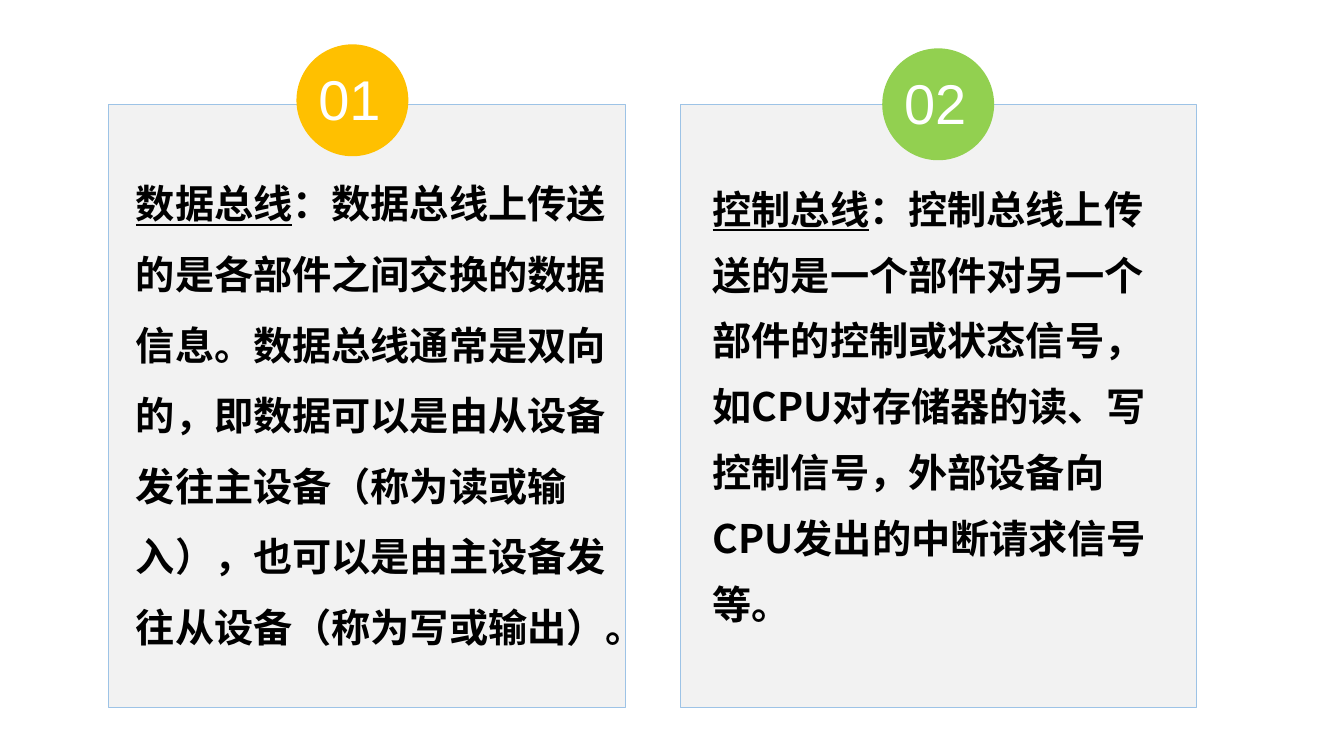
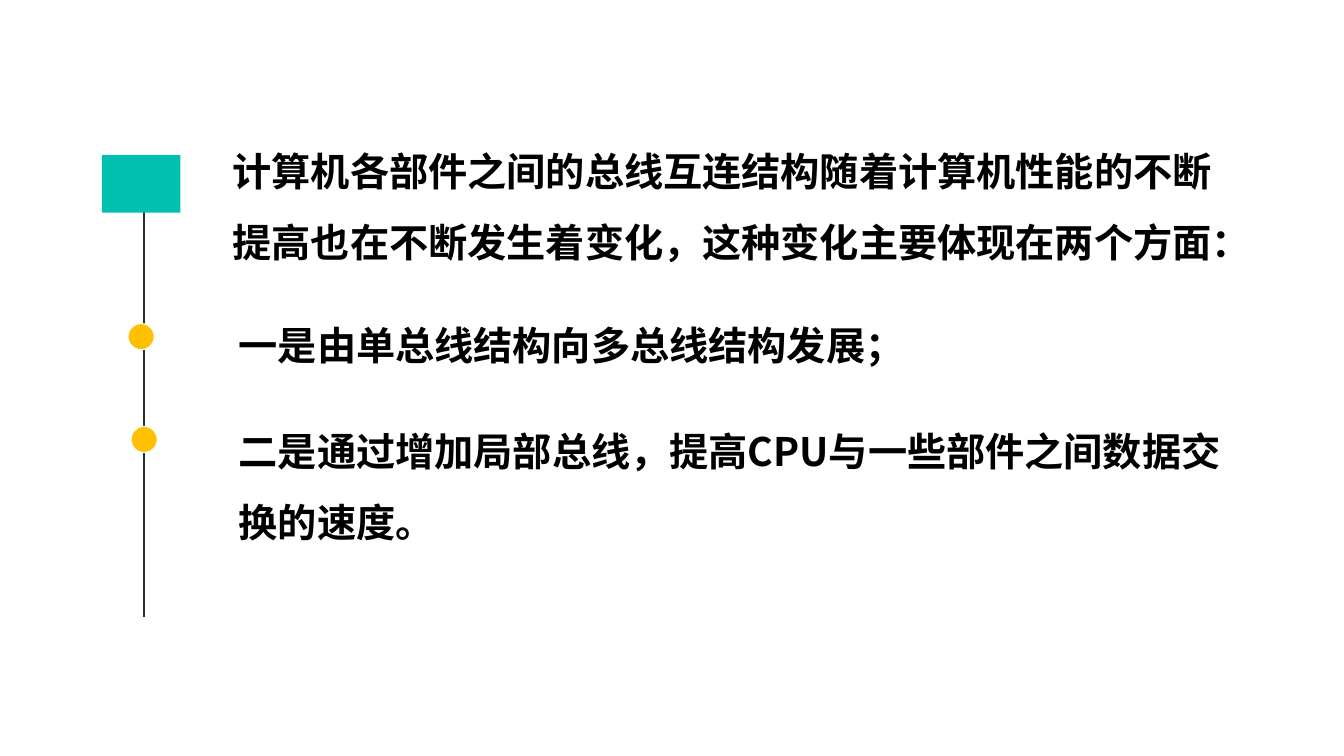
from pptx import Presentation
from pptx.dml.color import RGBColor
from pptx.enum.shapes import MSO_CONNECTOR, MSO_SHAPE
from pptx.enum.text import MSO_AUTO_SIZE, PP_ALIGN
from pptx.oxml.ns import qn
from pptx.util import Inches, Pt
from lxml import etree

RECTANGLE, OVAL = MSO_SHAPE.RECTANGLE, MSO_SHAPE.OVAL
STRAIGHT = MSO_CONNECTOR.STRAIGHT
GROW = MSO_AUTO_SIZE.SHAPE_TO_FIT_TEXT
CENTER = PP_ALIGN.CENTER

BLACK = RGBColor(0x00, 0x00, 0x00)
WHITE = RGBColor(0xFF, 0xFF, 0xFF)
PALE_GRAY = RGBColor(0xF2, 0xF2, 0xF2)
LIGHT_BLUE = RGBColor(0x9D, 0xC3, 0xE6)
AMBER = RGBColor(0xFF, 0xC0, 0x00)
GREEN = RGBColor(0x92, 0xD0, 0x50)
TEAL = RGBColor(0x01, 0xC0, 0xB0)
CHARCOAL = RGBColor(0x2E, 0x2C, 0x2C)

BODY_FORMAT = {"name": "Noto Sans CJK SC", "size": Pt(28), "bold": True}
NUMBER_FORMAT = {"name": "Arial", "size": Pt(40)}


def add_shape(shapes, kind, bounds, fill, line=None, line_width=0):
    shape = shapes.add_shape(kind, *map(Inches, bounds))
    shape.shadow.inherit = False
    shape.fill.solid()
    shape.fill.fore_color.rgb = fill
    if line is None:
        shape.line.fill.background()
    else:
        shape.line.color.rgb = line
        shape.line.width = Pt(line_width)
    return shape


def add_text(shapes, bounds, spans, formats, color, spacing=1.0):
    """Add a one-paragraph text box; spans are (text, underlined) pairs."""
    box = shapes.add_textbox(*map(Inches, bounds))
    box.text_frame.word_wrap = True
    box.text_frame.auto_size = GROW
    para = box.text_frame.paragraphs[0]
    para.line_spacing = spacing
    for text, underlined in spans:
        span = para.add_run()
        span.text = text
        for attribute, value in formats.items():
            setattr(span.font, attribute, value)
        span.font.color.rgb = color
        if underlined:
            span.font.underline = True
        latin = span.font._element.find(qn("a:latin"))
        east_asian = etree.Element(qn("a:ea"), typeface=formats["name"])
        latin.addnext(east_asian)
    return para


deck = Presentation()
deck.slide_width, deck.slide_height = Inches(13.33), Inches(7.5)
blank_layout = deck.slide_layouts[6]

# Two kinds of bus, one card each
page = deck.slides.add_slide(blank_layout)
cards = [
    (1.08, "01", AMBER, (2.94, 0.44), (1.25, 1.5, 4.97, 5.05), 1.5, "数据总线",
     "：数据总线上传送的是各部件之间交换的数据信息。数据总线通常是双向的，"
     "即数据可以是由从设备发往主设备（称为读或输入），"
     "也可以是由主设备发往从设备（称为写或输出）。"),
    (6.75, "02", GREEN, (8.75, 0.48), (6.97, 1.6, 4.67, 4.76), 1.4, "控制总线",
     "：控制总线上传送的是一个部件对另一个部件的控制或状态信号，"
     "如CPU对存储器的读、写控制信号，外部设备向CPU发出的中断请求信号等。"),
]
for card_left, number, color, (left, top), text_bounds, spacing, term, meaning in cards:
    add_shape(page.shapes, RECTANGLE, (card_left, 1.04, 5.12, 5.98),
              PALE_GRAY, LIGHT_BLUE, 0.75)
    badge = page.shapes.add_group_shape()
    add_shape(badge.shapes, OVAL, (left, top, 1.11, 1.11), color)
    number_para = add_text(badge.shapes, (left + 0.05, top + 0.15, 0.95, 0.77),
                           [(number, False)], NUMBER_FORMAT, WHITE)
    number_para.alignment = CENTER
    add_text(page.shapes, text_bounds, [(term, True), (meaning, False)],
             BODY_FORMAT, BLACK, spacing)

# Changes in bus structure along a timeline
page = deck.slides.add_slide(blank_layout)
timeline = page.shapes.add_connector(
    STRAIGHT, Inches(1.43), Inches(1.81), Inches(1.43), Inches(6.12))
timeline.line.color.rgb = CHARCOAL
timeline.line.width = Pt(1)
etree.SubElement(timeline._element.spPr, qn("a:effectLst"))

pointer_outline = [(1.96, 1.82), (1.89, 1.78), (1.83, 1.73), (1.81, 1.73), (1.8, 1.75),
                   (1.8, 1.92), (1.81, 1.94), (1.83, 1.94), (1.89, 1.9), (1.96, 1.86),
                   (1.98, 1.84)]
builder = page.shapes.build_freeform(*pointer_outline[0], scale=Inches(1))
builder.add_line_segments(pointer_outline[1:], close=True)
pointer = builder.convert_to_shape()
pointer.shadow.inherit = False
pointer.fill.solid()
pointer.fill.fore_color.rgb = TEAL
pointer.line.fill.background()

add_shape(page.shapes, RECTANGLE, (1.01, 1.54, 0.78, 0.57), TEAL)
for left, top in [(1.27, 3.21), (1.3, 4.23)]:
    add_shape(page.shapes, OVAL, (left, top, 0.26, 0.26), AMBER, WHITE)

statements = [
    ((2.21, 1.18, 10.1, 1.51), 0,
     "计算机各部件之间的总线互连结构随着计算机性能的不断提高也在不断发生着变化，"
     "这种变化主要体现在两个方面："),
    ((1.77, 2.9, 10.64, 0.72), 1, "一是由单总线结构向多总线结构发展；"),
    ((1.77, 3.96, 10.45, 1.51), 1,
     "二是通过增加局部总线，提高CPU与一些部件之间数据交换的速度。"),
]
for bounds, level, text in statements:
    para = add_text(page.shapes, bounds, [(text, False)], BODY_FORMAT, BLACK, 1.5)
    para.level = level

deck.save("out.pptx")
